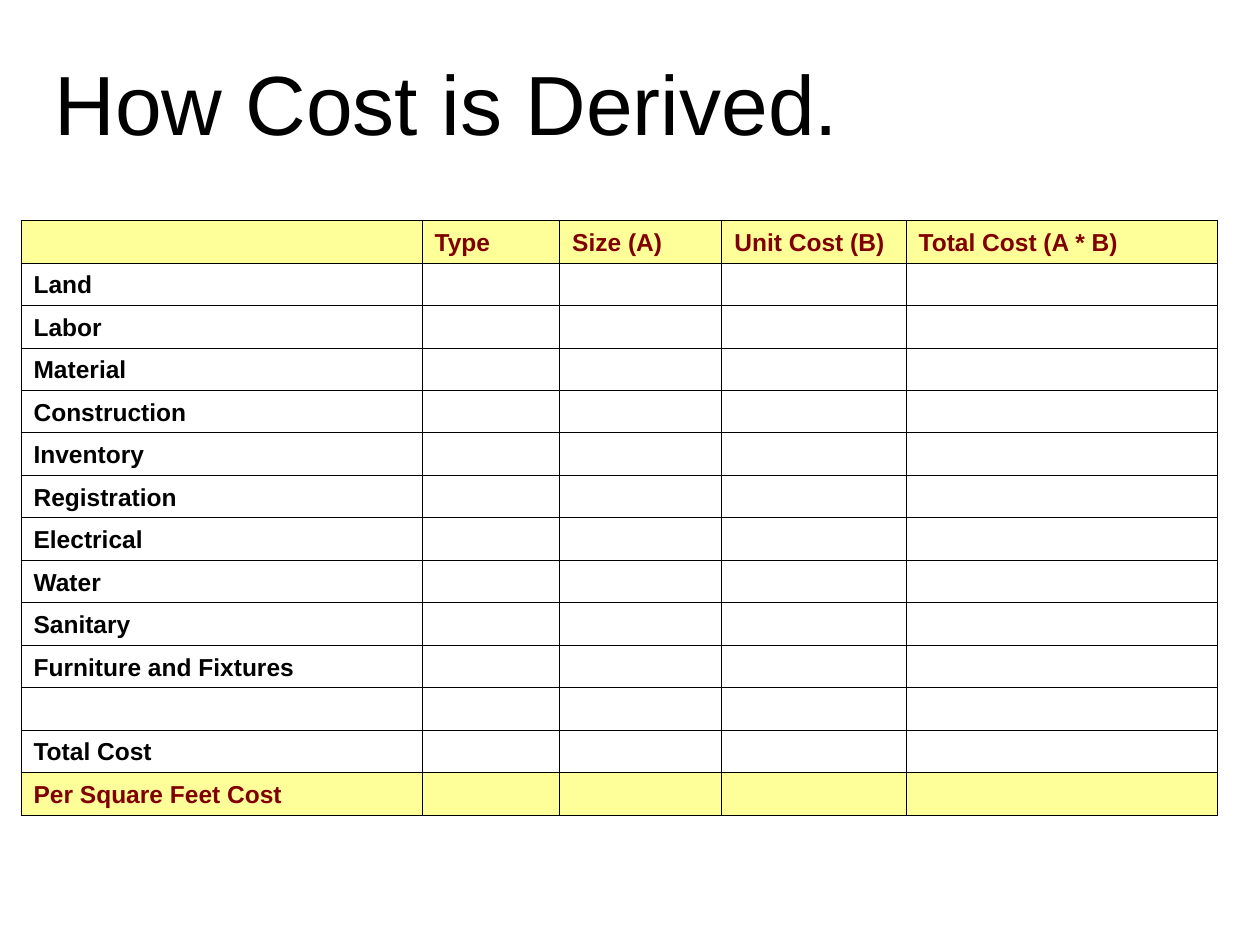
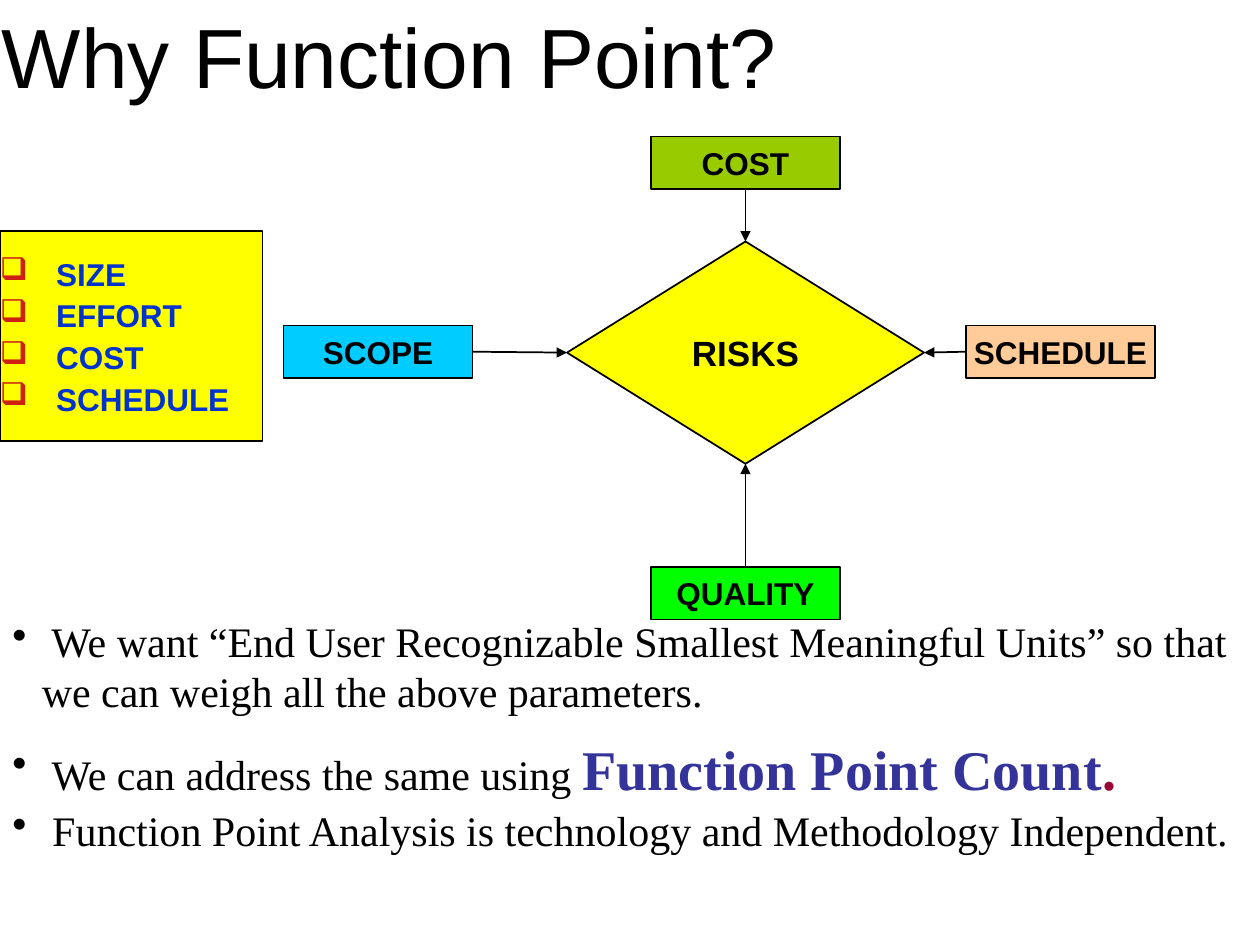
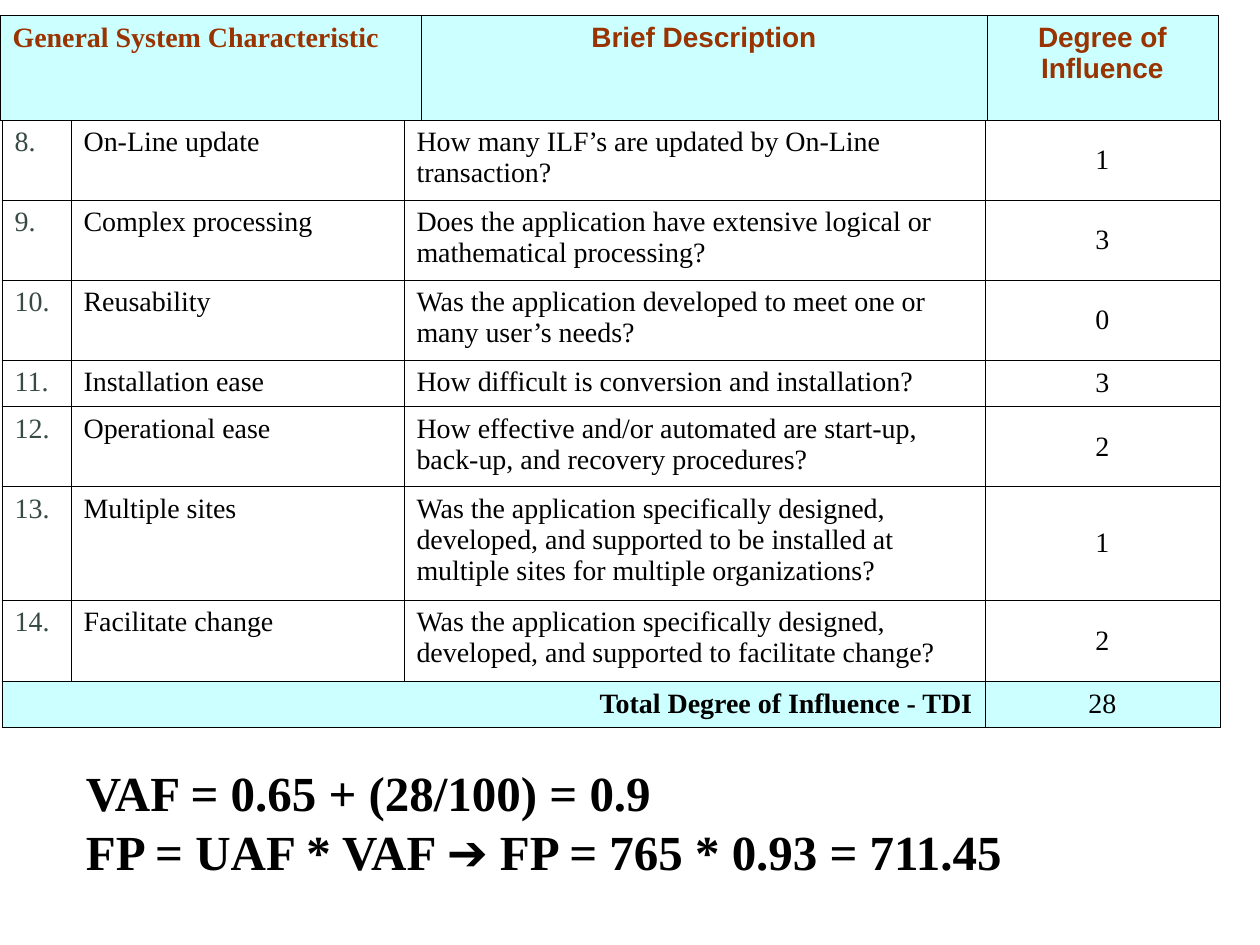
from dataclasses import dataclass, replace
from typing import NamedTuple, Optional

from lxml.etree import SubElement
from pptx import Presentation
from pptx.dml.color import RGBColor
from pptx.enum.shapes import MSO_CONNECTOR, MSO_SHAPE
from pptx.enum.text import MSO_ANCHOR, MSO_AUTO_SIZE, PP_ALIGN
from pptx.oxml.ns import qn
from pptx.util import Emu, Inches, Pt

SLIDE_WIDTH, SLIDE_HEIGHT = Inches(10), Inches(7.5)
GRID_COLUMNS = 120  # square grid: 120 columns by 90 rows
BLANK_LAYOUT = 6
TOP, LEFT, BOTTOM, RIGHT = range(4)

COLORS = {
    "black": "000000",
    "maroon": "800000",
    "pale yellow": "FFFF99",
    "yellow": "FFFF00",
    "green": "00FF00",
    "olive": "99CC00",
    "sky": "00CCFF",
    "peach": "FFCC99",
    "blue": "0033CC",
    "red": "CD2114",
    "indigo": "333399",
    "crimson": "990033",
    "pale cyan": "CCFFFF",
    "rust": "993300",
    "slate": "374A44",
}


@dataclass(frozen=True)
class TextStyle:
    size: float
    color: str = "black"
    font: str = "Arial"
    bold: bool = False


class StyledText(NamedTuple):
    text: str
    style: TextStyle


class Area(NamedTuple):
    """Left, top, width and height in grid steps."""
    left: float
    top: float
    width: float
    height: float


class Bullet(NamedTuple):
    character: str
    color: str
    indent: float


class Node(NamedTuple):
    """A labelled box, with the side its arrow leaves and the diamond side it meets."""
    label: str
    left: float
    top: float
    color: str
    exit_side: int
    risk_side: int


@dataclass(frozen=True)
class Cell:
    text: str
    style: TextStyle
    fill: Optional[str] = None
    align: PP_ALIGN = PP_ALIGN.LEFT
    anchor: MSO_ANCHOR = MSO_ANCHOR.TOP
    span: int = 1


TITLE = TextStyle(48)
LABEL = TextStyle(18, bold=True)
COST_ROW = TextStyle(14, bold=True)
COST_HEADING = replace(COST_ROW, color="maroon")
BODY = TextStyle(24, font="Times New Roman")
EMPHASIS = replace(BODY, size=32, color="indigo", bold=True)
RATING = replace(BODY, size=16)
RATING_HEADING = replace(RATING, color="rust", bold=True)
FORMULA = replace(BODY, size=28, bold=True)

CHECKBOX = Bullet("❑", "red", 5.35)
DOT = Bullet("•", "black", 2.8)

COST_COLUMNS = [38.2, 13.1, 15.45, 17.55, 29.7]
COST_HEADINGS = ["", "Type", "Size (A)", "Unit Cost (B)", "Total Cost (A * B)"]
COST_ITEMS = [
    "Land", "Labor", "Material", "Construction", "Inventory", "Registration",
    "Electrical", "Water", "Sanitary", "Furniture and Fixtures", "", "Total Cost",
]

NODE_WIDTH, NODE_HEIGHT = 18, 5
RISK_AREA = Area(54, 23, 34, 21.17)
NODES = [
    Node("QUALITY", 62, 54, "green", TOP, BOTTOM),
    Node("COST", 62, 13, "olive", BOTTOM, TOP),
    Node("SCOPE", 27, 31, "sky", RIGHT, LEFT),
    Node("SCHEDULE", 92, 31, "peach", LEFT, RIGHT),
]
MEASURES = ["SIZE", "EFFORT", "COST", "SCHEDULE"]
REASONS = [
    (Area(0, 58, 120, 10.8), [StyledText(
        " We want “End User Recognizable Smallest Meaningful Units” so that "
        "we can weigh all the above parameters.", BODY)]),
    (Area(0, 69.4, 116, 7.7), [
        StyledText(" We can address the same using ", BODY),
        StyledText("Function Point Count", EMPHASIS),
        StyledText(".", replace(EMPHASIS, color="crimson"))]),
    (Area(0, 76, 120, 6), [StyledText(
        " Function Point Analysis is technology and Methodology Independent.", BODY)]),
]

FIRST_CHARACTERISTIC = 8
RATING_COLUMNS = [6.57, 31.71, 55.33, 22.39]
RATING_ROWS = [7.62, 7.62, 7.62, 4.45, 7.62, 10.8, 7.7, 4.4]
CHARACTERISTICS = [
    ("On-Line update", "How many ILF’s are updated by On-Line transaction?", 1),
    ("Complex processing",
     "Does the application have extensive logical or mathematical processing?", 3),
    ("Reusability", "Was the application developed to meet one or many user’s needs?", 0),
    ("Installation ease", "How difficult is conversion and installation?", 3),
    ("Operational ease",
     "How effective and/or automated are start-up, back-up, and recovery procedures?", 2),
    ("Multiple sites",
     "Was the application specifically designed, developed, and supported to be "
     "installed at multiple sites for multiple organizations?", 1),
    ("Facilitate change",
     "Was the application specifically designed, developed, and supported to "
     "facilitate change?", 2),
]


def grid(steps: float) -> Emu:
    return Emu(round(SLIDE_WIDTH * steps / GRID_COLUMNS))


def place(area: Area) -> list[Emu]:
    return [grid(steps) for steps in area]


def rgb(name: str) -> RGBColor:
    return RGBColor.from_string(COLORS[name])


def add_solid_fill(parent, color: str) -> None:
    SubElement(SubElement(parent, qn("a:solidFill")), qn("a:srgbClr"), val=COLORS[color])


def style_font(font, style: TextStyle) -> None:
    font.size = Pt(style.size)
    font.name = style.font
    font.bold = style.bold
    font.color.rgb = rgb(style.color)


def add_bullet(paragraph, bullet: Bullet) -> None:
    properties = paragraph._p.get_or_add_pPr()
    indent = grid(bullet.indent)
    properties.set("marL", str(indent))
    properties.set("indent", str(-indent))
    color = SubElement(properties, qn("a:buClr"))
    SubElement(color, qn("a:srgbClr"), val=COLORS[bullet.color])
    SubElement(properties, qn("a:buChar"), char=bullet.character)


def write(frame, paragraphs: list[list[StyledText]], align=PP_ALIGN.LEFT,
          bullet: Optional[Bullet] = None, gap: float = 0) -> None:
    """Fill a text frame, one list of styled texts to a paragraph."""
    for index, pieces in enumerate(paragraphs):
        paragraph = frame.add_paragraph() if index else frame.paragraphs[0]
        if bullet:
            add_bullet(paragraph, bullet)
        paragraph.alignment = align
        if index and gap:
            paragraph.space_before = Pt(gap)
        for piece in pieces:
            run = paragraph.add_run()
            run.text = piece.text
            style_font(run.font, piece.style)


def add_text(slide, area: Area, paragraphs: list[list[StyledText]],
             anchor=MSO_ANCHOR.TOP, bullet: Optional[Bullet] = None) -> None:
    frame = slide.shapes.add_textbox(*place(area)).text_frame
    frame.word_wrap = True
    frame.auto_size = MSO_AUTO_SIZE.NONE
    frame.vertical_anchor = anchor
    write(frame, paragraphs, bullet=bullet)


def add_title(slide, left: float, top: float, text: str) -> None:
    add_text(slide, Area(left, top, 112, 11.5), [[StyledText(text, TITLE)]], MSO_ANCHOR.MIDDLE)


def add_box(slide, kind: MSO_SHAPE, area: Area, color: str):
    """Add an outlined shape whose text has no margins."""
    shape = slide.shapes.add_shape(kind, *place(area))
    shape.shadow.inherit = False
    shape.fill.solid()
    shape.fill.fore_color.rgb = rgb(color)
    shape.line.color.rgb = rgb("black")
    shape.line.width = Pt(1)
    frame = shape.text_frame
    frame.margin_left = frame.margin_right = frame.margin_top = frame.margin_bottom = 0
    frame.vertical_anchor = MSO_ANCHOR.MIDDLE
    frame.word_wrap = False
    return shape


def add_arrow(slide, source, source_side: int, target, target_side: int) -> None:
    connector = slide.shapes.add_connector(MSO_CONNECTOR.STRAIGHT, 0, 0, 0, 0)
    connector.begin_connect(source, source_side)
    connector.end_connect(target, target_side)
    connector.line.color.rgb = rgb("black")
    connector.line.width = Pt(1)
    SubElement(connector.line._get_or_add_ln(), qn("a:tailEnd"), type="triangle")
    SubElement(connector._element.spPr, qn("a:effectLst"))


def format_cell(table_cell, cell: Cell) -> None:
    properties = table_cell._tc.get_or_add_tcPr()
    for side in ("lnL", "lnR", "lnT", "lnB"):
        border = SubElement(properties, qn(f"a:{side}"), w=str(Pt(0.45)))
        add_solid_fill(border, "black")
    if cell.fill:
        table_cell.fill.solid()
        table_cell.fill.fore_color.rgb = rgb(cell.fill)
    else:
        table_cell.fill.background()
    table_cell.vertical_anchor = cell.anchor
    if cell.text:
        write(table_cell.text_frame, [[StyledText(cell.text, cell.style)]], cell.align)
    else:
        paragraph = table_cell.text_frame.paragraphs[0]
        paragraph._p.get_or_add_endParaRPr().set("sz", str(cell.style.size * 100))


def add_grid_table(slide, left: float, top: float, columns: list[float],
                   row_heights: list[float], rows: list[list[Cell]]) -> None:
    area = Area(left, top, sum(columns), sum(row_heights))
    table = slide.shapes.add_table(len(rows), len(columns), *place(area)).table
    table.first_row = table.horz_banding = False
    for column, width in zip(table.columns, columns):
        column.width = grid(width)
    for row, height in zip(table.rows, row_heights):
        row.height = grid(height)
    for row_index, row in enumerate(rows):
        column_index = 0
        for cell in row:
            last = column_index + cell.span - 1
            if cell.span > 1:
                table.cell(row_index, column_index).merge(table.cell(row_index, last))
            format_cell(table.cell(row_index, column_index), cell)
            for covered in range(column_index + 1, last + 1):
                format_cell(table.cell(row_index, covered), replace(cell, text=""))
            column_index = last + 1


def build_cost_slide(slide) -> None:
    def cost_row(texts: list[str], style: TextStyle, fill: Optional[str] = None) -> list[Cell]:
        padded = texts + [""] * (len(COST_COLUMNS) - len(texts))
        return [Cell(text, style, fill, anchor=MSO_ANCHOR.BOTTOM) for text in padded]

    rows = [
        cost_row(COST_HEADINGS, COST_HEADING, "pale yellow"),
        *(cost_row([item], COST_ROW) for item in COST_ITEMS),
        cost_row(["Per Square Feet Cost"], COST_HEADING, "pale yellow"),
    ]
    add_grid_table(slide, 2, 21, COST_COLUMNS, [4.03] * len(rows), rows)
    add_title(slide, 4, 4, "How Cost is Derived.")


def build_function_point_slide(slide) -> None:
    add_title(slide, -1, -0.5, "Why Function Point?")
    risks = add_box(slide, MSO_SHAPE.DIAMOND, RISK_AREA, "yellow")
    write(risks.text_frame, [[StyledText("RISKS", replace(LABEL, size=20))]], PP_ALIGN.CENTER)
    boxes = []
    for node in NODES:
        area = Area(node.left, node.top, NODE_WIDTH, NODE_HEIGHT)
        box = add_box(slide, MSO_SHAPE.RECTANGLE, area, node.color)
        write(box.text_frame, [[StyledText(node.label, LABEL)]], PP_ALIGN.CENTER)
        boxes.append(box)
    for node, box in zip(NODES, boxes):
        add_arrow(slide, box, node.exit_side, risks, node.risk_side)

    measures = add_box(slide, MSO_SHAPE.RECTANGLE, Area(0, 22, 25, 20), "yellow")
    measures.text_frame.word_wrap = True
    measure_style = replace(LABEL, color="blue")
    write(measures.text_frame, [[StyledText(name, measure_style)] for name in MEASURES],
          bullet=CHECKBOX, gap=2.2)
    for area, pieces in REASONS:
        add_text(slide, area, [pieces], bullet=DOT)


def build_influence_slide(slide) -> None:
    def score(value: int, fill: Optional[str] = None) -> Cell:
        return Cell(str(value), RATING, fill, PP_ALIGN.CENTER, MSO_ANCHOR.MIDDLE)

    rows = [
        [Cell(f"{number}.", replace(RATING, color="slate")), Cell(name, RATING),
         Cell(description, RATING), score(degree)]
        for number, (name, description, degree) in enumerate(CHARACTERISTICS, FIRST_CHARACTERISTIC)
    ]
    rows.append([
        Cell("Total Degree of Influence - TDI", replace(RATING, bold=True), "pale cyan",
             PP_ALIGN.RIGHT, MSO_ANCHOR.MIDDLE, span=3),
        score(28, "pale cyan"),
    ])
    add_grid_table(slide, 0.2, 11.45, RATING_COLUMNS, RATING_ROWS, rows)

    heading = replace(RATING_HEADING, font="Arial")
    headings = [
        Cell("General System Characteristic", RATING_HEADING, "pale cyan"),
        Cell("Brief Description", heading, "pale cyan", PP_ALIGN.CENTER),
        Cell("Degree of Influence", heading, "pale cyan", PP_ALIGN.CENTER),
    ]
    add_grid_table(slide, 0, 1.5, [40.1, 53.9, 22], [9.95], [headings])
    add_text(slide, Area(7, 72, 99, 12.5), [
        [StyledText("VAF = 0.65 + (28/100) = 0.9", FORMULA)],
        [StyledText("FP = UAF * VAF ", FORMULA),
         StyledText("➔", replace(FORMULA, font="Arial")),
         StyledText(" FP = 765 * 0.93 = 711.45", FORMULA)],
    ], MSO_ANCHOR.MIDDLE)


def main() -> None:
    presentation = Presentation()
    presentation.slide_width, presentation.slide_height = SLIDE_WIDTH, SLIDE_HEIGHT
    for build in (build_cost_slide, build_function_point_slide, build_influence_slide):
        build(presentation.slides.add_slide(presentation.slide_layouts[BLANK_LAYOUT]))
    presentation.save("out.pptx")


if __name__ == "__main__":
    main()
